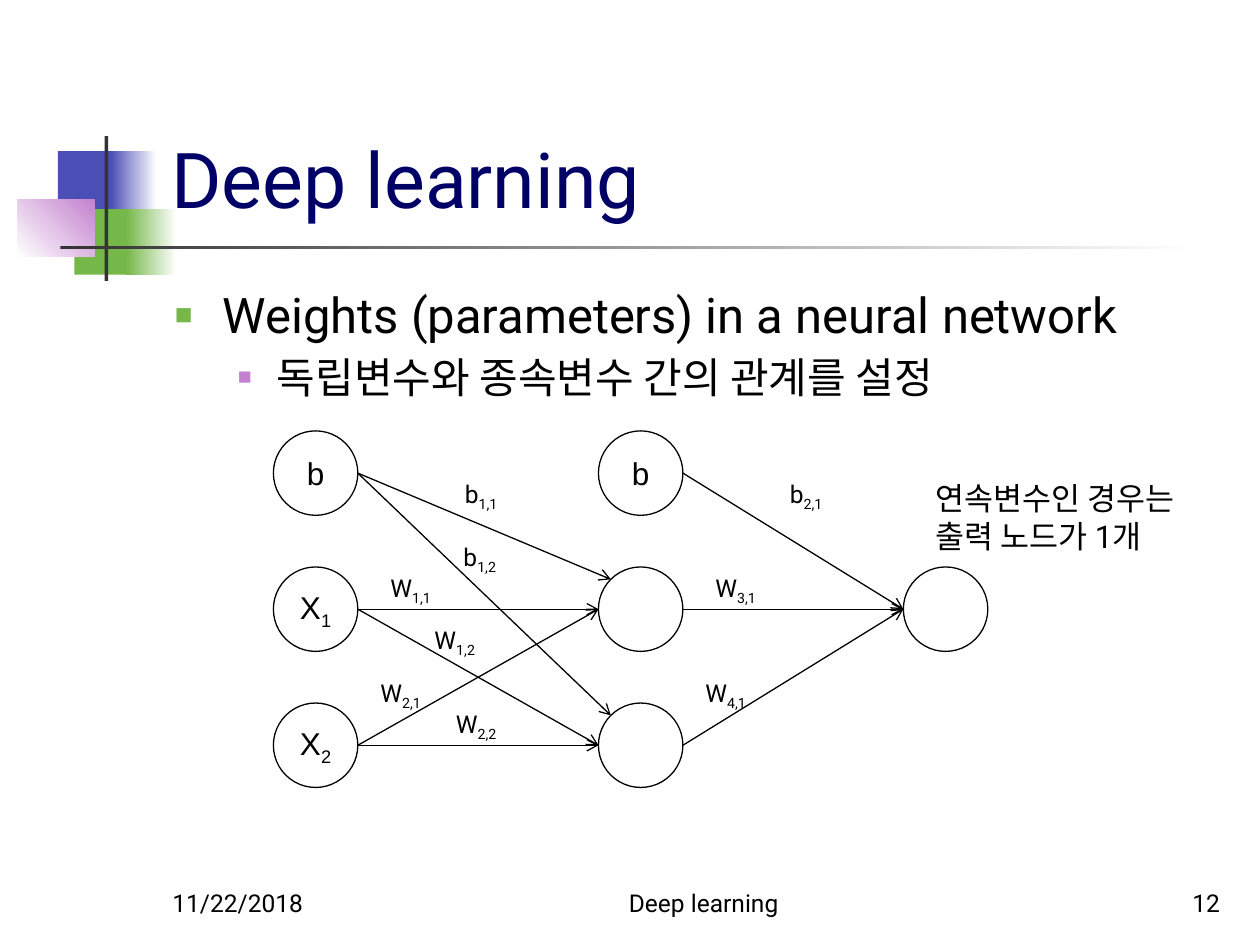
from lxml import etree
from pptx import Presentation
from pptx.dml.color import RGBColor
from pptx.enum import shapes, text
from pptx.oxml.ns import qn
from pptx.util import Inches, Pt

BLACK = RGBColor(0, 0, 0)
WHITE = RGBColor(255, 255, 255)
NAVY = RGBColor(0x00, 0x00, 0x66)
BLUE = RGBColor(0x4B, 0x4E, 0xB5)
GREEN = RGBColor(0x76, 0xB7, 0x49)
PURPLE = RGBColor(0xC4, 0x81, 0xCF)
GREY = RGBColor(0x33, 0x33, 0x33)

LEFT, CENTER, RIGHT = text.PP_ALIGN.LEFT, text.PP_ALIGN.CENTER, text.PP_ALIGN.RIGHT
TOP, MIDDLE, BOTTOM = text.MSO_ANCHOR.TOP, text.MSO_ANCHOR.MIDDLE, text.MSO_ANCHOR.BOTTOM

# Network grid: left edge of each layer, top edge of each row
LAYER_X = (2.17, 4.75, 7.17)
ROW_Y = [3.42 + 1.08 * row for row in range(3)]
NODE = 0.67
# Offset of the upper-left point of a circle from its bounding box
DIAGONAL = NODE / 2 * (1 - 0.5 ** 0.5)


def format_run(r, size, font="Roboto", color=BLACK):
    r.font.size = Pt(size)
    r.font.name = font
    r.font.color.rgb = color


def add_subscripted(p, base, sub, size, font):
    for content, is_sub in ((base, False), (sub, True)):
        if content:
            r = p.add_run()
            r.text = content
            format_run(r, size, font)
            if is_sub:
                r.font._element.set("baseline", "-25000")


def add_text(slide, box, content, size, color=BLACK, align=LEFT, anchor=TOP, wrap=True):
    sp = slide.shapes.add_textbox(*map(Inches, box))
    tf = sp.text_frame
    tf.word_wrap = wrap
    tf.vertical_anchor = anchor
    tf.text = content
    for p in tf.paragraphs:
        p.alignment = align
        for r in p.runs:
            format_run(r, size, color=color)
    return tf


def add_bar(slide, box, color, end=None, angle=0):
    sp = slide.shapes.add_shape(shapes.MSO_SHAPE.RECTANGLE, *map(Inches, box))
    sp.shadow.inherit = False
    sp.line.fill.background()
    if end is None:
        sp.fill.solid()
        sp.fill.fore_color.rgb = color
    else:
        sp.fill.gradient()
        sp.fill.gradient_angle = angle
        for stop, stop_color in zip(sp.fill.gradient_stops, (color, end)):
            stop.color.rgb = stop_color


def set_bullet(p, margin, indent, color, percent):
    pPr = p._p.get_or_add_pPr()
    pPr.set("marL", str(Inches(margin)))
    pPr.set("indent", str(Inches(indent)))
    clr = etree.SubElement(pPr, qn("a:buClr"))
    etree.SubElement(clr, qn("a:srgbClr"), val=str(color))
    etree.SubElement(pPr, qn("a:buSzPct"), val=str(percent * 1000))
    etree.SubElement(pPr, qn("a:buFont"), typeface="Arial")
    etree.SubElement(pPr, qn("a:buChar"), char="■")


def add_node(slide, layer, row, base="", sub=""):
    sp = slide.shapes.add_shape(
        shapes.MSO_SHAPE.OVAL, Inches(LAYER_X[layer]), Inches(ROW_Y[row]),
        Inches(NODE), Inches(NODE))
    sp.shadow.inherit = False
    sp.fill.background()
    sp.line.color.rgb = BLACK
    sp.line.width = Pt(0.75)
    tf = sp.text_frame
    tf.vertical_anchor = MIDDLE
    tf.paragraphs[0].alignment = CENTER
    add_subscripted(tf.paragraphs[0], base, sub, 18, "Arial")


def add_edge(slide, layer, start_row, end_row, diagonal=False):
    """Arrow from a node's right side to a node of the next layer."""
    inset = (DIAGONAL, DIAGONAL) if diagonal else (0, NODE / 2)
    line = slide.shapes.add_connector(
        shapes.MSO_CONNECTOR.STRAIGHT,
        Inches(LAYER_X[layer] + NODE), Inches(ROW_Y[start_row] + NODE / 2),
        Inches(LAYER_X[layer + 1] + inset[0]), Inches(ROW_Y[end_row] + inset[1]))
    line.line.color.rgb = BLACK
    line.line.width = Pt(0.75)
    etree.SubElement(line.line._get_or_add_ln(), qn("a:tailEnd"), type="arrow")
    etree.SubElement(line._element.spPr, qn("a:effectLst"))


def add_weight(slide, x, y, base, sub):
    width = 0.49 if base == "b" else 0.56
    tf = add_text(slide, (x, y, width, 0.34), "", 14, wrap=False)
    add_subscripted(tf.paragraphs[0], base, sub, 14, "Roboto")


def add_decoration(slide):
    add_bar(slide, (0.46, 1.2, 0.48, 0.52), BLUE)
    add_bar(slide, (0.88, 1.2, 0.36, 0.52), BLUE, WHITE)
    add_bar(slide, (0.59, 1.66, 0.46, 0.52), GREEN)
    add_bar(slide, (1, 1.66, 0.4, 0.52), GREEN, WHITE)
    add_bar(slide, (0.14, 1.58, 0.61, 0.46), WHITE, PURPLE, 45)
    add_bar(slide, (0.83, 1.08, 0.03, 1.15), GREY)
    add_bar(slide, (0.48, 1.95, 9, 0.03), GREY, WHITE)


def add_body(slide):
    tf = add_text(slide, (1.29, 2.21, 8.5, 4.5),
                  "Weights (parameters) in a neural network\n독립변수와 종속변수 간의 관계를 설정", 28)
    first, second = tf.paragraphs
    second.level = 1
    second.runs[0].font.size = Pt(24)
    first.space_before, second.space_before = Pt(5.6), Pt(4.8)
    set_bullet(first, 0.38, -0.38, GREEN, 60)
    set_bullet(second, 0.81, -0.31, PURPLE, 55)


def add_network(slide):
    # Nodes: layer, row, label, subscript
    for node in ((0, 0, "b"), (0, 1, "X", "1"), (0, 2, "X", "2"),
                 (1, 0, "b"), (1, 1), (1, 2), (2, 1)):
        add_node(slide, *node)

    # Edges: input to hidden layer, then hidden layer to output
    for start_row in range(3):
        for end_row in (1, 2):
            add_edge(slide, 0, start_row, end_row, diagonal=start_row == 0)
    for start_row in range(3):
        add_edge(slide, 1, start_row, 1)

    # Edge weights
    for weight in ((3.59, 3.75, "b", "1,1"), (3.58, 4.25, "b", "1,2"),
                   (3, 4.5, "W", "1,1"), (3.35, 4.91, "W", "1,2"),
                   (2.92, 5.33, "W", "2,1"), (3.52, 5.58, "W", "2,2"),
                   (6.17, 3.75, "b", "2,1"), (5.58, 4.5, "W", "3,1"),
                   (5.5, 5.33, "W", "4,1")):
        add_weight(slide, *weight)


def main():
    prs = Presentation()
    prs.slide_width, prs.slide_height = Inches(10), Inches(7.5)
    slide = prs.slides.add_slide(prs.slide_layouts[6])

    add_decoration(slide)
    add_text(slide, (1.26, 0.23, 8.52, 1.6), "Deep learning", 44, NAVY, anchor=BOTTOM)
    add_body(slide)

    # Footer: date, title, page number
    for x, width, content, align in ((1.27, 2.08, "11/22/2018", LEFT),
                                     (4, 3.17, "Deep learning", CENTER),
                                     (7.7, 2.08, "12", RIGHT)):
        add_text(slide, (x, 6.83, width, 0.5), content, 14, align=align, anchor=BOTTOM)

    add_network(slide)
    add_text(slide, (7.33, 3.75, 2.3, 0.71), "연속변수인 경우는\n출력 노드가 1개", 18, wrap=False)
    prs.save("out.pptx")


if __name__ == "__main__":
    main()
